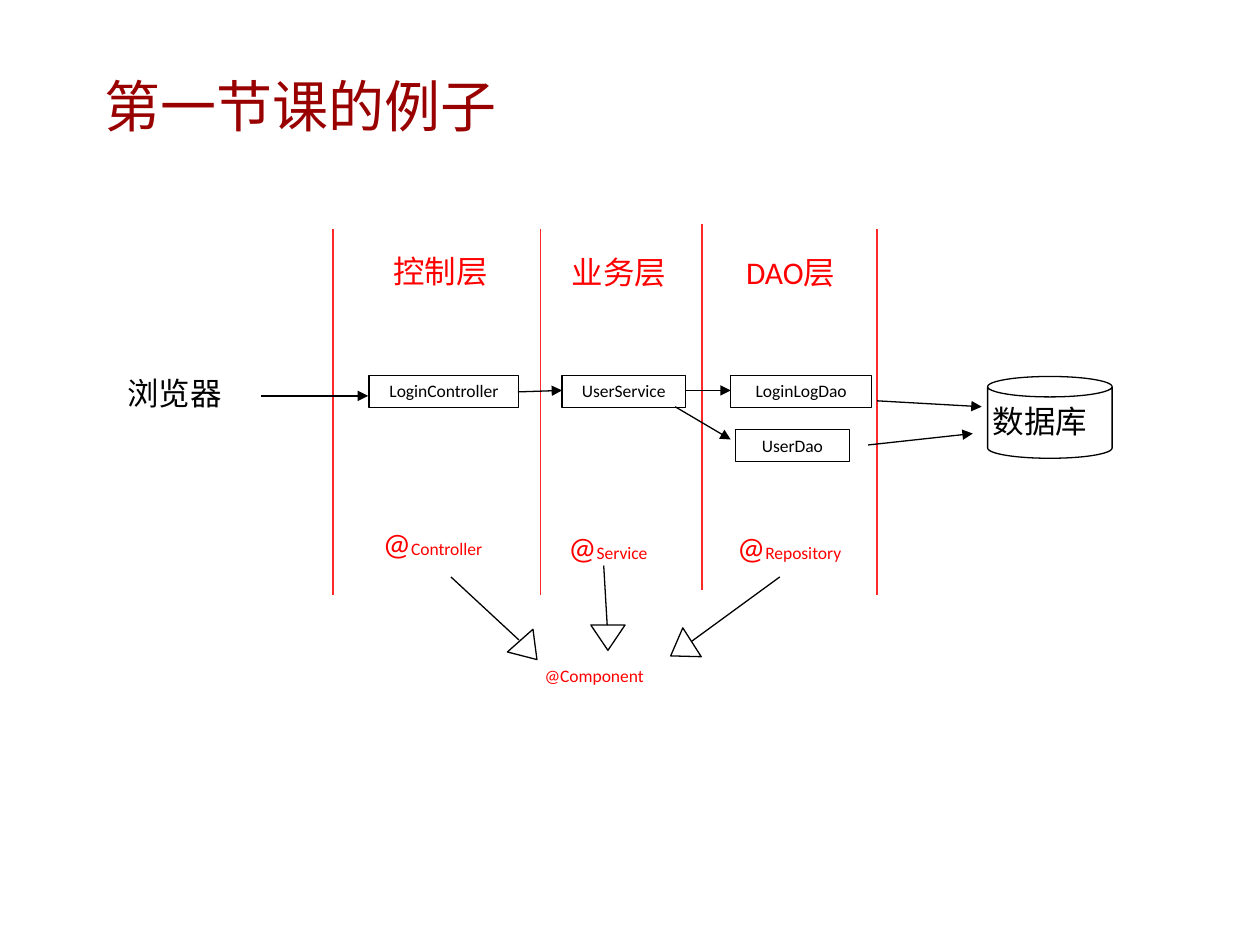
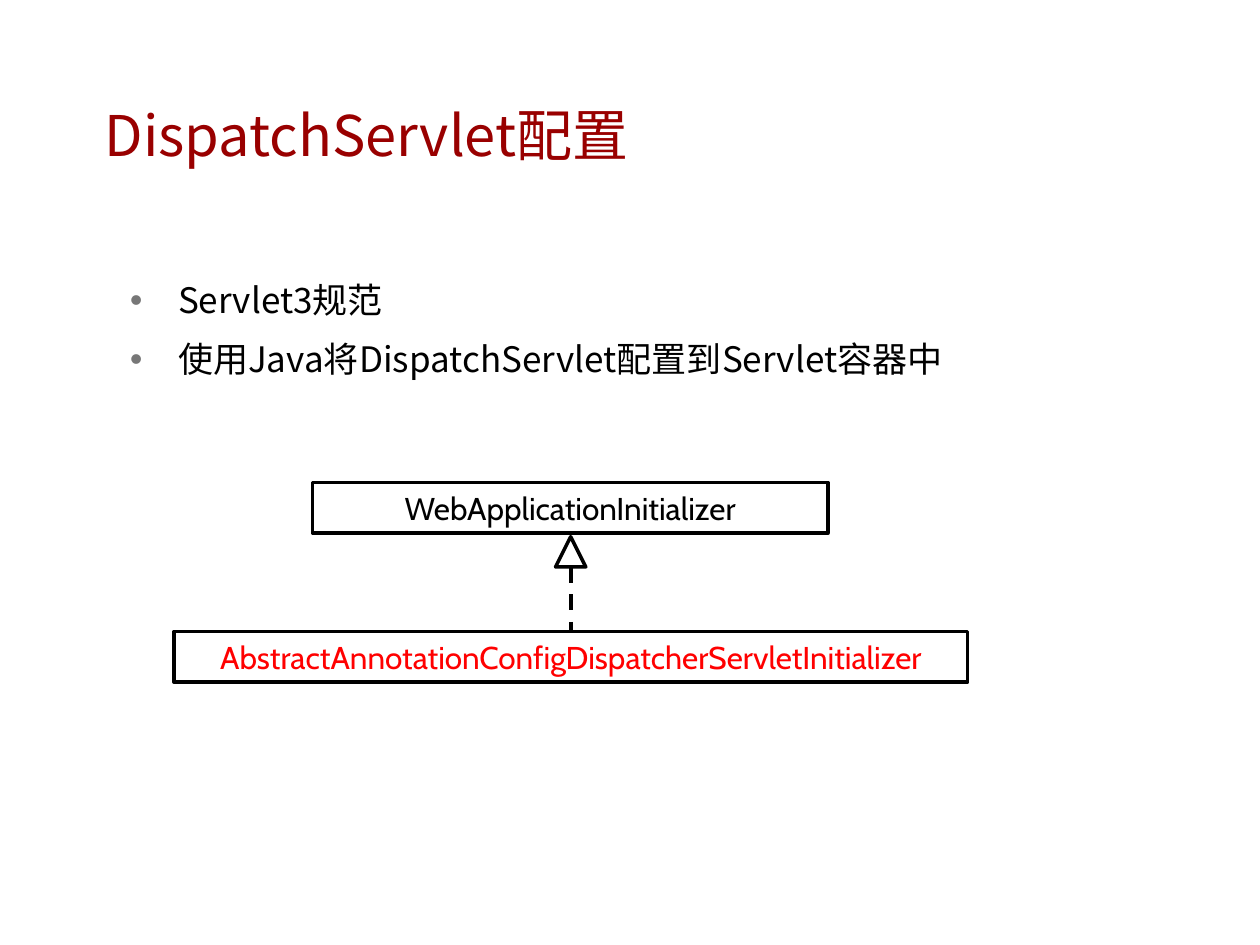
from lxml import etree
from pptx import Presentation
from pptx.dml.color import RGBColor
from pptx.enum.dml import MSO_LINE as Dash
from pptx.enum.shapes import MSO_CONNECTOR as Link, MSO_SHAPE as Shape
from pptx.enum.text import MSO_ANCHOR as Anchor, MSO_AUTO_SIZE as Auto, PP_ALIGN as Align
from pptx.oxml.ns import qn
from pptx.util import Cm, Pt

BLACK = RGBColor(0, 0, 0)
WHITE = RGBColor(255, 255, 255)
RED = RGBColor(255, 0, 0)
ROSE = RGBColor(0xFF, 0x29, 0x29)
MAROON = RGBColor(0x99, 0, 0)
GRAY = "777777"
HAN, SANS, CABIN = "Noto Sans CJK SC", "Calibri", "Cabin"


def add_run(para, text, size, font=HAN, color=BLACK):
    run = para.add_run()
    run.text = text
    run.font.size = Pt(size)
    run.font.color.rgb = color
    run.font.name = font
    etree.SubElement(run._r.get_or_add_rPr(), qn("a:ea"), typeface=font)


def set_frame(shape, inset, anchor=Anchor.TOP, auto=Auto.SHAPE_TO_FIT_TEXT):
    frame = shape.text_frame
    frame.margin_left = frame.margin_right = Cm(inset)
    frame.margin_top = frame.margin_bottom = Cm(inset)
    frame.word_wrap = True
    frame.auto_size = auto
    frame.vertical_anchor = anchor
    return frame


def add_text(slide, box, *runs, inset=0.13, **style):
    """Place a text box; each run is (text, size, font, color)."""
    shape = slide.shapes.add_textbox(*map(Cm, box))
    para = set_frame(shape, inset, **style).paragraphs[0]
    for run in runs:
        add_run(para, *run)


def add_title(slide, top, text):
    add_text(slide, (2.11, top, 21.21, 2.41), (text, 32, HAN, MAROON),
             inset=0, anchor=Anchor.MIDDLE, auto=Auto.NONE)


def add_shape(slide, kind, box, width=0.75, fill=None, turn=0):
    shape = slide.shapes.add_shape(kind, *map(Cm, box))
    shape.shadow.inherit = False
    shape.rotation = turn
    if fill is None:
        shape.fill.background()
    else:
        shape.fill.solid()
        shape.fill.fore_color.rgb = fill
    shape.line.color.rgb = BLACK
    shape.line.width = Pt(width)
    return shape


def add_class(slide, box, run, inset=0.1, **style):
    """Draw a class box with its name centred."""
    shape = add_shape(slide, Shape.RECTANGLE, box, **style)
    para = set_frame(shape, inset).paragraphs[0]
    para.alignment = Align.CENTER
    add_run(para, *run)


def add_line(slide, ends, color=BLACK, width=0.75, arrow=False, dash=None):
    link = slide.shapes.add_connector(Link.STRAIGHT, *map(Cm, ends))
    link.line.color.rgb = color
    link.line.width = Pt(width)
    if dash:
        link.line.dash_style = dash
    if arrow:
        etree.SubElement(link.line._get_or_add_ln(), qn("a:tailEnd"), type="triangle")
    etree.SubElement(link._element.spPr, qn("a:effectLst"))


def add_list(slide, box, items):
    frame = set_frame(slide.shapes.add_textbox(*map(Cm, box)), 0.13)
    for i, text in enumerate(items):
        para = frame.add_paragraph() if i else frame.paragraphs[0]
        para.line_spacing = Pt(34)
        props = para._p.get_or_add_pPr()
        props.set("marL", str(Cm(0.97)))
        props.set("indent", str(-Cm(0.97)))
        tint = etree.SubElement(props, qn("a:buClr"))
        etree.SubElement(tint, qn("a:srgbClr"), val=GRAY)
        etree.SubElement(props, qn("a:buSzPct"), val="60000")
        etree.SubElement(props, qn("a:buFont"), typeface=SANS)
        etree.SubElement(props, qn("a:buChar"), char="●")
        add_run(para, text, 20)


def draw_layers(slide):
    add_title(slide, 0.91, "第一节课的例子")
    for x, top in ((6.71, 4.62), (10.9, 4.62), (14.15, 4.52), (17.68, 4.62)):
        add_line(slide, (x, top, x, top + 7.37), ROSE)

    for name, x, y, w in (("LoginController", 7.44, 7.57, 3.02),
                          ("UserService", 11.33, 7.57, 2.49),
                          ("LoginLogDao", 14.73, 7.57, 2.84),
                          ("UserDao", 14.83, 8.66, 2.29)):
        add_class(slide, (x, y, w, 0.64), (name, 10, SANS))

    add_text(slide, (2.44, 7.42, 3.2, 1.14), ("浏览器", 18))
    add_shape(slide, Shape.CAN, (19.91, 7.59, 2.51, 1.65))
    add_text(slide, (19.91, 8, 2.51, 2.49), ("数据库", 18), inset=0.1, auto=Auto.NONE)

    for x, y, w, runs in (
            (7.8, 4.95, 2.69, [("控制层", 18, HAN, RED)]),
            (11.4, 4.98, 2.72, [("业务层", 18, HAN, RED)]),
            (14.91, 4.98, 2.79, [("DAO", 18, SANS, RED), ("层", 18, HAN, RED)])):
        add_text(slide, (x, y, w, 1.14), *runs)

    for name, x, y in (("Controller", 7.59, 10.44), ("Service", 11.33, 10.52),
                       ("Repository", 14.73, 10.52)):
        add_text(slide, (x, y, 2.62, 0.99),
                 ("@", 18, SANS, RED), (name, 10, SANS, RED))
    add_text(slide, (10.85, 13.28, 3.63, 0.64), ("@Component", 10, SANS, RED))

    for ends in ((5.26, 7.98, 7.42, 7.98), (10.44, 7.9, 11.33, 7.87),
                 (13.82, 7.87, 14.73, 7.87), (13.61, 8.2, 14.73, 8.86),
                 (17.68, 8.08, 19.79, 8.2), (17.5, 8.97, 19.61, 8.74)):
        add_line(slide, ends, arrow=True)

    for x, y, turn, ends in (
            (10.31, 12.85, 138.5, (9.09, 11.63, 10.46, 12.9)),
            (11.91, 12.6, 180, (12.17, 11.4, 12.24, 12.6)),
            (13.39, 12.83, 237.4, (15.72, 11.63, 13.94, 12.93))):
        add_shape(slide, Shape.ISOSCELES_TRIANGLE, (x, y, 0.69, 0.51), turn=turn)
        add_line(slide, ends)


def draw_config(slide):
    add_title(slide, 1.5, "DispatchServlet配置")
    add_list(slide, (2.49, 5.13, 21.01, 2.46),
             ("Servlet3规范", "使用Java将DispatchServlet配置到Servlet容器中"))
    style = {"width": 2, "fill": WHITE}
    add_class(slide, (6.3, 9.73, 10.39, 1.02),
              ("WebApplicationInitializer", 18, CABIN), inset=0.13, **style)
    add_class(slide, (3.51, 12.73, 16, 1.02),
              ("AbstractAnnotationConfigDispatcherServletInitializer", 18, CABIN, RED),
              inset=0.13, **style)
    add_line(slide, (11.51, 11.43, 11.51, 12.73), width=2.25, dash=Dash.DASH)
    add_shape(slide, Shape.ISOSCELES_TRIANGLE, (11.2, 10.82, 0.61, 0.61), **style)


def main():
    deck = Presentation()
    deck.slide_width, deck.slide_height = Cm(25.4), Cm(19.05)
    for draw in (draw_layers, draw_config):
        draw(deck.slides.add_slide(deck.slide_layouts[6]))
    deck.save("out.pptx")


if __name__ == "__main__":
    main()
